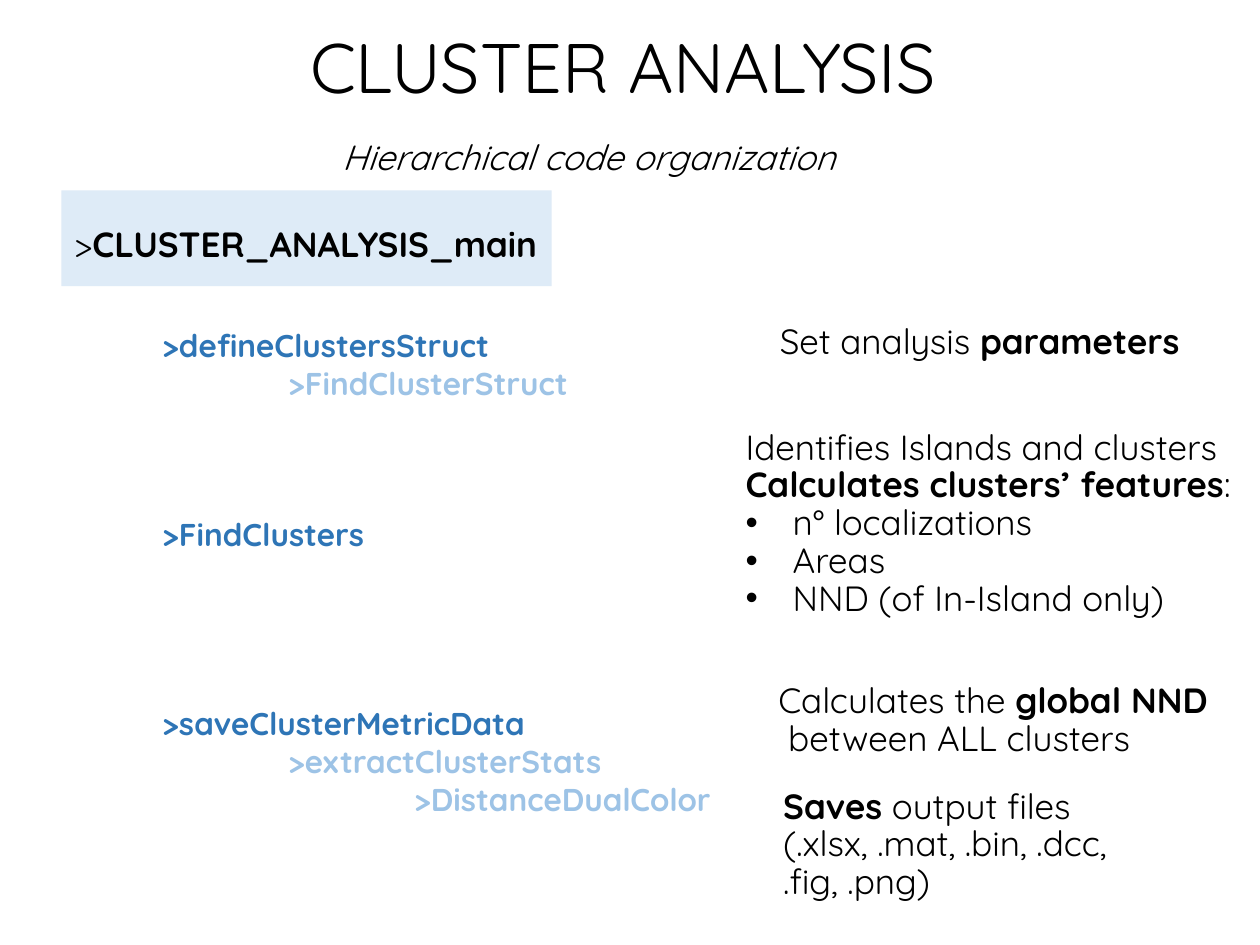
from lxml import etree
from pptx import Presentation
from pptx.dml.color import RGBColor
from pptx.enum.shapes import MSO_SHAPE
from pptx.enum.text import MSO_ANCHOR, MSO_AUTO_SIZE, PP_ALIGN
from pptx.oxml.ns import qn
from pptx.util import Cm, Pt

RECTANGLE = MSO_SHAPE.RECTANGLE
TOP = MSO_ANCHOR.TOP
NO_AUTOFIT = MSO_AUTO_SIZE.NONE
LEFT, CENTER = PP_ALIGN.LEFT, PP_ALIGN.CENTER

COLORS = {
    "text": "000000",
    "background": "FFFFFF",
    "panel": "DEEBF7",
    "function": "2E75B6",
    "subfunction": "9DC3E6",
}
CODE_SIZE = 18
CODE_LINE = 1.2 * CODE_SIZE
BULLET_INDENT = 0.95


class SlideBuilder:
    font_name = "Quicksand"
    text_size = 20
    line_spacing = 0.9

    def __init__(self, presentation):
        self.slide = presentation.slides.add_slide(presentation.slide_layouts[1])

    def color(self, name):
        return RGBColor.from_string(COLORS[name])

    def place(self, shape, left, top, width, height):
        shape.left, shape.top = Cm(left), Cm(top)
        shape.width, shape.height = Cm(width), Cm(height)

    def prepare(self, shape):
        frame = shape.text_frame
        frame.word_wrap = True
        frame.auto_size = NO_AUTOFIT
        frame.vertical_anchor = TOP
        return frame

    def indent(self, paragraph, margin, hanging=0, bullet=None):
        properties = paragraph._p.get_or_add_pPr()
        properties.set("marL", str(Cm(margin)))
        properties.set("indent", str(-Cm(hanging)))
        if bullet:
            etree.SubElement(properties, qn("a:buFont")).set("typeface", "Arial")
            etree.SubElement(properties, qn("a:buChar")).set("char", bullet)
        else:
            etree.SubElement(properties, qn("a:buNone"))

    def style(self, paragraph, size, color="text", alignment=LEFT, spacing=line_spacing):
        paragraph.alignment = alignment
        paragraph.line_spacing = spacing
        paragraph.space_before = Pt(0)
        font = paragraph.font
        font.name, font.size = self.font_name, Pt(size)
        font.color.rgb = self.color(color)

    def add_lines(self, shape, lines, bullets=()):
        """Add lines, each a list of (text, bold) runs, then bulleted strings."""
        frame = self.prepare(shape)
        bulleted_lines = [[(text, False)] for text in bullets]
        for index, runs in enumerate(lines + bulleted_lines):
            paragraph = frame.add_paragraph() if index else frame.paragraphs[0]
            for text, bold in runs:
                run = paragraph.add_run()
                run.text = text
                run.font.bold = bold
            if index >= len(lines):
                self.indent(paragraph, BULLET_INDENT, BULLET_INDENT, "•")
            self.style(paragraph, self.text_size)
        return frame

    def title(self, text, *box):
        shape = self.slide.shapes.title
        self.place(shape, *box)
        shape.fill.solid()
        shape.fill.fore_color.rgb = self.color("background")
        frame = self.prepare(shape)
        frame.text = text
        self.style(frame.paragraphs[0], 40, alignment=CENTER)

    def panel(self, lines, *box):
        shape = self.slide.shapes.add_shape(RECTANGLE, *map(Cm, box))
        shape.shadow.inherit = False
        shape.fill.solid()
        shape.fill.fore_color.rgb = self.color("panel")
        shape.line.fill.background()
        self.add_lines(shape, lines).margin_top = Cm(0.74)

    def note(self, lines, *box, bullets=()):
        shape = self.slide.shapes.add_textbox(*map(Cm, box))
        return self.add_lines(shape, lines, bullets)

    def call_tree(self, calls, *box):
        """Fill the body placeholder with (name, level, blank lines above) entries."""
        shape = self.slide.placeholders[1]
        self.place(shape, *box)
        frame = self.prepare(shape)
        for index, (name, level, gap) in enumerate(calls):
            paragraph = frame.add_paragraph() if index else frame.paragraphs[0]
            paragraph.text = ">" + name
            paragraph.level = level
            self.indent(paragraph, 1.27 * level)
            color = "subfunction" if level else "function"
            self.style(paragraph, CODE_SIZE, color, spacing=1.0)
            paragraph.font.bold = True
            paragraph.space_before = Pt(gap * CODE_LINE)


def main():
    presentation = Presentation()
    presentation.slide_width, presentation.slide_height = Cm(25.4), Cm(19.05)
    builder = SlideBuilder(presentation)

    builder.title("CLUSTER ANALYSIS", 0.61, 0.53, 23.9, 2.06)
    builder.panel([[(">", False), ("CLUSTER_ANALYSIS_main", True)]], 1.24, 3.84, 9.88, 1.93)
    builder.call_tree([
        ("defineClustersStruct", 0, 0),
        ("FindClusterStruct", 2, 0),
        ("FindClusters", 0, 3),
        ("saveClusterMetricData", 0, 4),
        ("extractClusterStats", 2, 0),
        ("DistanceDualColor", 4, 0),
    ], 3.02, 6.45, 20.88, 11.02)

    subtitle = builder.note([[("Hierarchical code organization", False)]], 6.65, 2.7, 16.18, 1.1)
    subtitle.paragraphs[0].font.italic = True

    builder.note([[("Set analysis ", False), ("parameters", True)]], 15.47, 6.41, 9.8, 1.1)
    builder.note([
        [("Identifies Islands and clusters", False)],
        [("Calculates clusters’ features", True), (":", False)],
    ], 14.78, 8.54, 10.6, 4.1, bullets=[
        "n° localizations",
        "Areas",
        "NND (of In-Island only)",
    ])

    distances = builder.note([
        [("Calculates the ", False), ("global NND", True)],
        [("between ALL clusters", False)],
    ], 15.44, 13.65, 9.8, 1.8)
    builder.indent(distances.paragraphs[1], 0.2)
    builder.style(distances.paragraphs[1], builder.text_size)

    builder.note([
        [("Saves", True), (" output files", False)],
        [("(.xlsx, .mat, .bin, .dcc, .fig, .png)", False)],
    ], 15.54, 15.78, 7.29, 2.6)

    presentation.save("out.pptx")


if __name__ == "__main__":
    main()
